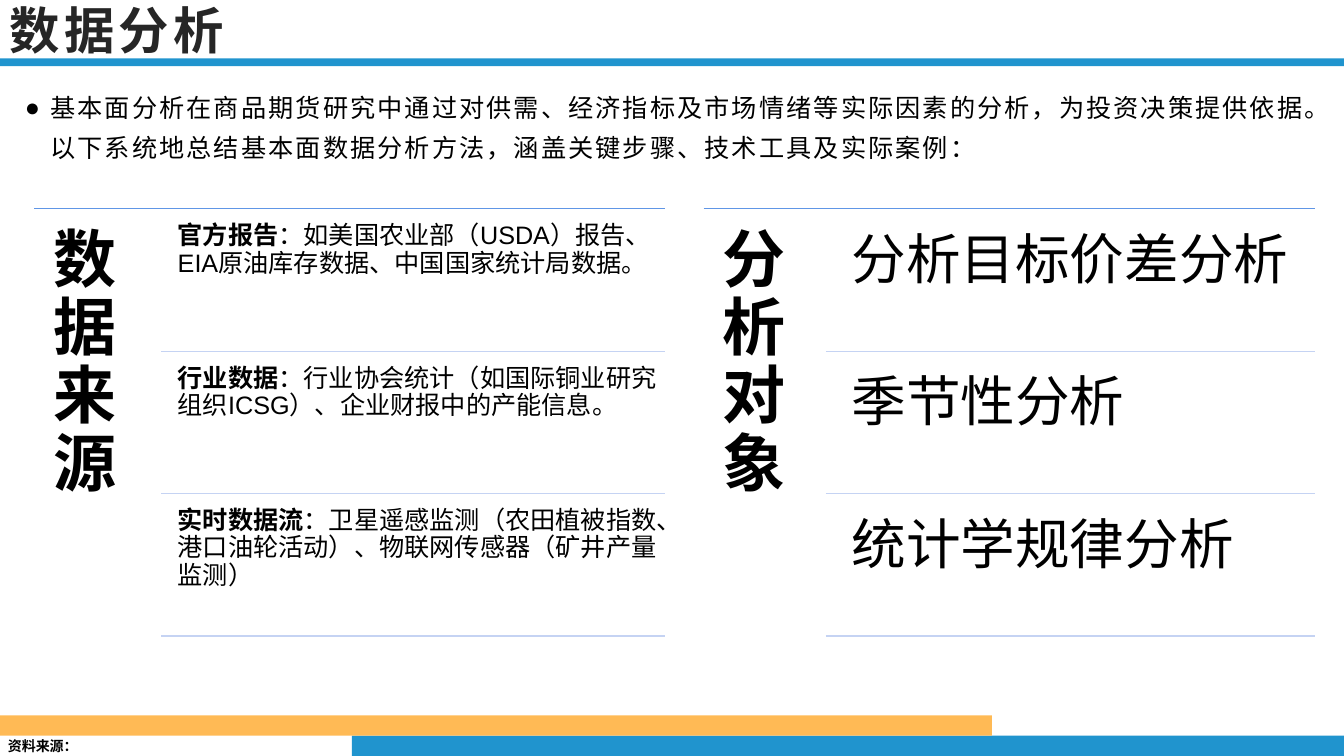
import pptx
import pptx.dml.color
import pptx.enum.dml
import pptx.enum.lang
import pptx.enum.shapes
import pptx.enum.text
import pptx.oxml
import pptx.oxml.ns
import pptx.util
from pptx.util import Cm, Pt

RGBColor = pptx.dml.color.RGBColor
BLUE = RGBColor(0x20, 0x94, 0xCE)
ORANGE = RGBColor(0xFF, 0xBA, 0x55)
TOP_RULE = RGBColor(0x60, 0x96, 0xE6)
ROW_RULE = RGBColor(0xC5, 0xD3, 0xF3)
DARK = RGBColor(0x26, 0x26, 0x26)
BLACK = RGBColor(0x00, 0x00, 0x00)
CHINESE_FONT = "Noto Sans CJK SC"
PAGE_WIDTH, PAGE_HEIGHT = Cm(33.87), Cm(19.05)
ROW_PITCH = Cm(3.59)

SOURCES = [
    ("官方报告", "：如美国农业部（USDA）报告、EIA原油库存数据、中国国家统计局数据。"),
    ("行业数据", "：行业协会统计（如国际铜业研究组织ICSG）、企业财报中的产能信息。"),
    ("实时数据流", "：卫星遥感监测（农田植被指数、港口油轮活动）、物联网传感器（矿井产量监测）"),
]
TARGETS = [("", "分析目标价差分析"), ("", "季节性分析"), ("", "统计学规律分析")]


def add_span(para, text, size, font="Arial", bold=False, color=BLACK, spacing=0):
    span = para.add_run()
    span.text = text
    span.font.size = Pt(size)
    span.font.bold = bold
    span.font.name = font
    span.font.color.rgb = color
    span.font.language_id = pptx.enum.lang.MSO_LANGUAGE_ID.SIMPLIFIED_CHINESE
    properties = span.font._element
    properties.set("spc", str(int(spacing * 100)))
    east_asian = pptx.oxml.ns.qn("a:ea")
    properties.makeelement(east_asian, {})
    properties.find(pptx.oxml.ns.qn("a:latin")).addnext(
        properties.makeelement(east_asian, {"typeface": CHINESE_FONT}))


def place(shape, left, top, width, height):
    shape.left, shape.top, shape.width, shape.height = left, top, width, height


def prepare_frame(frame, inset_x, inset_y, anchor=pptx.enum.text.MSO_ANCHOR.TOP):
    frame.word_wrap = True
    frame.auto_size = pptx.enum.text.MSO_AUTO_SIZE.NONE
    frame.vertical_anchor = anchor
    frame.margin_left = frame.margin_right = inset_x
    frame.margin_top = frame.margin_bottom = inset_y
    para = frame.paragraphs[0]
    para.alignment = pptx.enum.text.PP_ALIGN.LEFT
    return para


def add_bar(page, left, top, width, height, color):
    bar = page.shapes.add_shape(
        pptx.enum.shapes.MSO_SHAPE.RECTANGLE, left, top, width, height)
    bar.shadow.inherit = False
    bar.fill.solid()
    bar.fill.fore_color.rgb = color
    bar.line.fill.background()


def add_rule(page, left, right, y, color):
    rule = page.shapes.add_connector(
        pptx.enum.shapes.MSO_CONNECTOR.STRAIGHT, left, y, right, y)
    rule.line.color.rgb = color
    rule.line.width = Pt(1)
    properties = rule._element.spPr
    properties.append(properties.makeelement(pptx.oxml.ns.qn("a:effectLst"), {}))


def add_text(page, left, top, width, height, inset):
    box = page.shapes.add_textbox(left, top, width, height)
    para = prepare_frame(box.text_frame, inset, inset)
    para.line_spacing = 0.9
    return para


def add_header(page, left, top, width, height):
    title = page.shapes.title
    place(title, left, top, width, height)
    para = prepare_frame(title.text_frame, Cm(0.25), Cm(0.13),
                         pptx.enum.text.MSO_ANCHOR.MIDDLE)
    add_span(para, "数据分析", 36, CHINESE_FONT, True, DARK, 3)
    add_bar(page, left, top + height, PAGE_WIDTH, Cm(0.2), BLUE)


def add_introduction(page, left, top, width, height):
    body = page.placeholders[1]
    place(body, left, top, width, height)
    para = prepare_frame(body.text_frame, Cm(0.25), Cm(0.13))
    properties = para._p.get_or_add_pPr()
    properties.set("marL", str(Cm(0.64)))
    properties.set("indent", str(-Cm(0.64)))
    properties.append(properties.makeelement(
        pptx.oxml.ns.qn("a:buChar"), {"char": "●"}))
    para.line_spacing = 1.3
    para.space_before = Pt(0)
    para.space_after = Pt(10)
    add_span(para, "基本面分析在商品期货研究中通过对供需、经济指标及市场情绪等实际因素的分析，"
                   "为投资决策提供依据。以下系统地总结基本面数据分析方法，"
                   "涵盖关键步骤、技术工具及实际案例：", 18, "Cabin", spacing=1.5)


def add_panel(page, left, top, width, label_width, label, rows, size, inset):
    right = left + width
    # Heading column
    add_rule(page, left, right, top, TOP_RULE)
    para = add_text(page, left, top, label_width, Cm(10.92), Cm(0.48))
    add_span(para, label, 45, bold=True)
    # Rows, each closed by a rule
    rows_left = left + label_width
    text_left = rows_left + Cm(0.24)
    for index, (lead, detail) in enumerate(rows):
        row_top = top + index * ROW_PITCH
        para = add_text(page, text_left, row_top + Cm(0.18),
                        right - text_left, Cm(3.41), inset)
        if lead:
            add_span(para, lead, size, bold=True)
        add_span(para, detail, size)
        add_rule(page, rows_left, right, row_top + ROW_PITCH, ROW_RULE)


def add_footer(page, left, top, width, bar_height):
    blue_left = left + Cm(8.87)
    add_bar(page, blue_left, top + bar_height, width - blue_left, bar_height, BLUE)
    add_bar(page, left, top, Cm(25), bar_height, ORANGE)
    note = page.shapes.add_textbox(left, top + Cm(0.43), Cm(2.3), Cm(0.58))
    para = prepare_frame(note.text_frame, Cm(0.2), Cm(0.13))
    note.text_frame.word_wrap = False
    add_span(para, "资料来源：", 10, CHINESE_FONT, True)


def main():
    deck = pptx.Presentation()
    deck.slide_width, deck.slide_height = PAGE_WIDTH, PAGE_HEIGHT
    page = deck.slides.add_slide(deck.slide_layouts[1])
    add_header(page, 0, 0, Cm(29.06), Cm(1.47))
    add_introduction(page, Cm(0.38), Cm(1.98), Cm(33.1), Cm(2.74))
    add_panel(page, Cm(0.86), Cm(5.26), Cm(15.9), Cm(3.2),
              "数据来源", SOURCES, 18, Cm(0.18))
    add_panel(page, Cm(17.73), Cm(5.26), Cm(15.42), Cm(3.08),
              "分析对象", TARGETS, 39, Cm(0.41))
    add_footer(page, 0, Cm(18.03), PAGE_WIDTH, Cm(0.51))
    deck.save("out.pptx")


if __name__ == "__main__":
    main()
